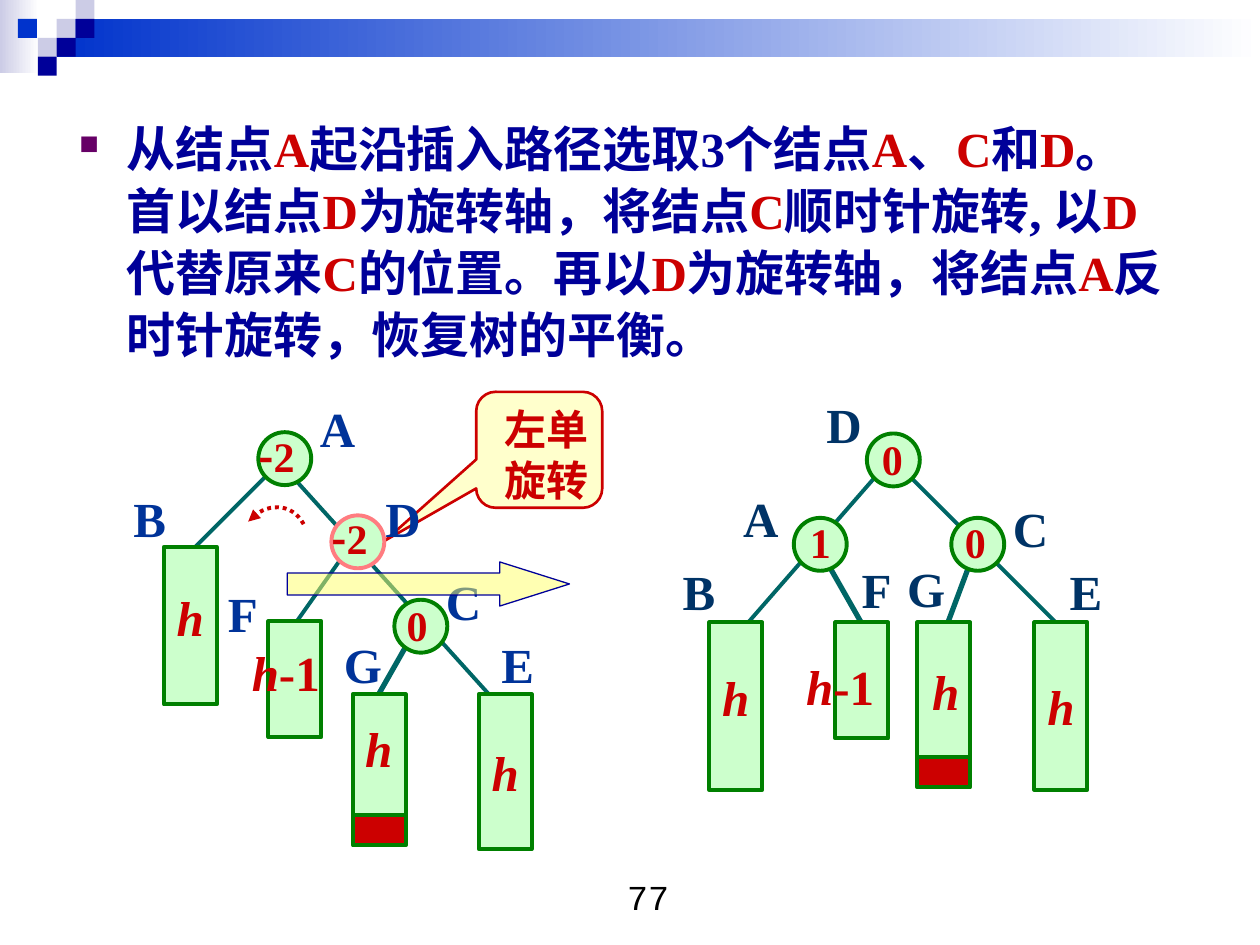
from lxml import etree
from pptx import Presentation
from pptx import util as u
from pptx.dml.color import RGBColor
from pptx.enum import dml, shapes, text
from pptx.oxml.ns import qn

RED, NAVY, GREEN, MINT, TEAL = "CC0000", "000099", "008000", "CCFFCC", "006666"
SERIF, CJK = "Times New Roman", "Noto Sans CJK SC"
KIND = shapes.MSO_SHAPE
ALIGN = text.PP_ALIGN
ROUND = 0.42  # diameter of a node, width of a subtree


def color(value):
    return RGBColor.from_string(value)


def write(frame, paras, size=28, tint=RED, font=SERIF, bold=True, align=ALIGN.LEFT,
          anchor=text.MSO_ANCHOR.TOP, wrap=False, space=None, inset=(0.1, 0.05, 0.1, 0.05)):
    """Fill a frame; each paragraph is a list of (text, overrides) runs."""
    frame.word_wrap = wrap
    frame.vertical_anchor = anchor
    (frame.margin_left, frame.margin_top,
     frame.margin_right, frame.margin_bottom) = map(u.Inches, inset)
    for i, runs in enumerate(paras):
        para = frame.add_paragraph() if i else frame.paragraphs[0]
        para.alignment = align
        if space:
            para.line_spacing = space
        for words, over in runs:
            run = para.add_run()
            run.text = words
            run.font.size = u.Pt(size)
            run.font.bold = bold
            run.font.italic = over.get("italic", False)
            run.font.name = over.get("font", font)
            run.font.color.rgb = color(over.get("tint", tint))
            east = etree.SubElement(run.font._element, qn("a:ea"))
            east.set("typeface", CJK)


H = [("h", {"italic": True})]
H_LESS = H + [("-1", {})]
MINUS = [("-", {"font": CJK}), ("2", {})]


class Page:
    def __init__(self, slide):
        self.items = slide.shapes

    def shape(self, kind, x, y, w, h, fill, line=None, width=2.25):
        item = self.items.add_shape(kind, *map(u.Inches, (x, y, w, h)))
        item.shadow.inherit = False
        item.fill.solid()
        item.fill.fore_color.rgb = color(fill)
        self.edge(item, line, width)
        return item

    def edge(self, item, line, width):
        if line:
            item.line.color.rgb = color(line)
            item.line.width = u.Pt(width)
        else:
            item.line.fill.background()

    def fade(self, x, y, w, h, start):
        """Bar that fades to white from left to right."""
        fill = self.shape(KIND.RECTANGLE, x, y, w, h, start).fill
        fill.gradient()
        fill.gradient_angle = 0
        for stop, tint in zip(fill.gradient_stops, (start, "FFFFFF")):
            stop.color.rgb = color(tint)

    def label(self, runs, x, y, w, h=0.57, **style):
        box = self.items.add_textbox(*map(u.Inches, (x, y, w, h)))
        write(box.text_frame, [runs], **style)
        return box

    def link(self, x1, y1, x2, y2, width=2.25):
        item = self.items.add_connector(
            shapes.MSO_CONNECTOR.STRAIGHT, *map(u.Inches, (x1, y1, x2, y2)))
        self.edge(item, TEAL, width)
        etree.SubElement(item._element.spPr, qn("a:effectLst"))

    def node(self, x, y, line=GREEN):
        self.shape(KIND.OVAL, x, y, ROUND, ROUND, MINT, line)

    def block(self, x, y, h, fill=MINT, runs=None, space=None):
        item = self.shape(KIND.RECTANGLE, x, y, ROUND, h, fill, GREEN)
        if runs:
            write(item.text_frame, [runs], align=ALIGN.CENTER,
                  anchor=text.MSO_ANCHOR.MIDDLE, space=space)

    def tree(self, tint, names, links, blocks, nodes, notes, counts):
        for name, x, y in names:
            self.label([(name, {})], x, y, 0.48, tint=tint)
        for ends in links:
            self.link(*ends)
        for args in blocks:
            self.block(*args)
        for args in nodes:
            self.node(*args)
        for runs, x, y in notes:
            self.label(runs, x, y, 0.74 if runs is H_LESS else 0.41)
        for runs, x, y in counts:
            self.label(runs, x, y, 0.56 if runs is MINUS else 0.36, 0.5, size=24)

    def turn(self, ends):
        """Dotted arrow along a cubic curve through four control points."""
        def spot(t):
            parts = ((1 - t) ** 3, 3 * t * (1 - t) ** 2, 3 * t * t * (1 - t), t ** 3)
            return tuple(u.Inches(sum(k * p[i] for k, p in zip(parts, ends)))
                         for i in (0, 1))
        steps = [spot(i / 16) for i in range(17)]
        build = self.items.build_freeform(*steps[0])
        build.add_line_segments(steps[1:], close=False)
        item = build.convert_to_shape()
        item.shadow.inherit = False
        item.fill.background()
        self.edge(item, RED, 2.25)
        item.line.dash_style = dml.MSO_LINE.ROUND_DOT
        etree.SubElement(item.line._get_or_add_ln(), qn("a:tailEnd")).set("type", "triangle")

    def body(self, words):
        """Bulleted paragraph; words between bars are node names in red."""
        runs = [(part, {"tint": RED if i % 2 else NAVY})
                for i, part in enumerate(words.split("|"))]
        box = self.label(runs, 0.53, 0.8, 9, 2.2, wrap=True, space=1.05,
                         inset=(0.1, 0.12, 0.28, 0.05))
        props = box.text_frame.paragraphs[0]._p.get_or_add_pPr()
        props.set("marL", str(u.Inches(0.38)))
        props.set("indent", str(-u.Inches(0.38)))
        tint = etree.SubElement(props, qn("a:buClr"))
        etree.SubElement(tint, qn("a:srgbClr")).set("val", "660066")
        etree.SubElement(props, qn("a:buSzPct")).set("val", "55000")
        etree.SubElement(props, qn("a:buChar")).set("char", "■")


def main():
    deck = Presentation()
    deck.slide_width, deck.slide_height = u.Inches(10), u.Inches(7.5)
    page = Page(deck.slides.add_slide(deck.slide_layouts[6]))

    page.fade(0, 0, 0.31, 0.58, "CCCCE6")
    page.fade(0.45, 0.15, 9.55, 0.3, "0033CC")
    for col, row, fill in ((3, 1, "CCCCE6"), (4, 0, "CCCCE6"), (4, 1, NAVY),
                           (2, 2, "CCCCE6"), (0.95, 1, "0033CC"),
                           (3, 2, NAVY), (2, 3, NAVY)):
        page.shape(KIND.RECTANGLE, col * 0.15, row * 0.15, 0.15, 0.15, fill)

    call = page.shape(KIND.ROUNDED_RECTANGULAR_CALLOUT, 3.78, 3.11, 1, 0.92,
                      "FFFFCC", RED, 1.5)
    call.adjustments[0], call.adjustments[1] = -1.22, 0.78
    write(call.text_frame, [[("左单", {})], [("旋转", {})]], size=24, wrap=True,
          inset=(0.18, 0.05, 0.02, 0.05))

    page.tree(
        "003366",
        names=[("A", 5.8, 3.83), ("C", 7.94, 3.91), ("E", 8.39, 4.41), ("D", 6.46, 3.08),
               ("B", 5.32, 4.41), ("F", 6.74, 4.39), ("G", 7.1, 4.38)],
        links=[(7.71, 4.44, 7.46, 5.11, 3), (7.21, 3.77, 8.38, 4.94),
               (6.96, 3.77, 5.79, 5.11), (6.55, 4.44, 6.88, 5.02, 3)],
        blocks=[(8.21, 4.94, 1.33, MINT, H), (5.63, 4.94, 1.33, MINT, H, 0.6),
                (7.28, 4.94, 1.08), (6.63, 4.94, 0.92), (7.28, 6.01, 0.24, RED)],
        nodes=[(6.3, 4.11), (6.88, 3.44), (7.55, 4.11)],
        notes=[(H_LESS, 6.3, 5.16), (H, 7.3, 5.2)],
        counts=[([("0", {})], 7.56, 4.05), ([("0", {})], 6.9, 3.39),
                ([("1", {})], 6.33, 4.05)])
    page.tree(
        "003399",
        names=[("A", 2.44, 3.11), ("C", 3.44, 4.49), ("E", 3.88, 4.99), ("B", 0.96, 3.83),
               ("F", 1.71, 4.58), ("G", 2.63, 4.99), ("D", 2.96, 3.83)],
        links=[(3.29, 5.01, 2.96, 5.59, 3), (2.13, 3.76, 1.38, 4.51),
               (2.3, 3.76, 3.88, 5.51), (2.71, 4.43, 2.3, 5.01)],
        blocks=[(3.8, 5.51, 1.23, MINT, H), (1.3, 4.34, 1.25, MINT, H, 0.6),
                (2.8, 5.51, 0.97), (2.13, 4.93, 0.92), (2.8, 6.47, 0.24, RED)],
        nodes=[(2.63, 4.09, "FF7C80"), (2.05, 3.43), (3.13, 4.76)],
        notes=[(H_LESS, 1.9, 5.05), (H, 2.8, 5.65)],
        counts=[([("0", {})], 3.13, 4.71), (MINUS, 1.95, 3.37), (MINUS, 2.53, 4.02)])
    page.turn([(2.41, 4.16), (2.32, 3.99), (2.11, 3.98), (1.97, 4.14)])

    page.body("从结点|A|起沿插入路径选取3个结点|A|、|C|和|D|。首以结点|D|为旋转轴，将结点|C|"
              "顺时针旋转, 以|D|代替原来|C|的位置。再以|D|为旋转轴，将结点|A|反时针旋转，恢复树的平衡。")

    arrow = page.shape(KIND.RIGHT_ARROW, 2.28, 4.46, 2.24, 0.35, "FFFF66", NAVY, 0.75)
    arrow.adjustments[0], arrow.adjustments[1] = 0.5, 1.58
    tint = arrow._element.spPr.find(qn("a:solidFill"))[0]
    etree.SubElement(tint, qn("a:alpha")).set("val", "50000")

    page.label([("77", {})], 3.98, 6.9, 2.33, 0.52, size=20, tint="000000",
               font="Courier New", bold=False, align=ALIGN.CENTER, wrap=True)
    deck.save("out.pptx")


if __name__ == "__main__":
    main()
